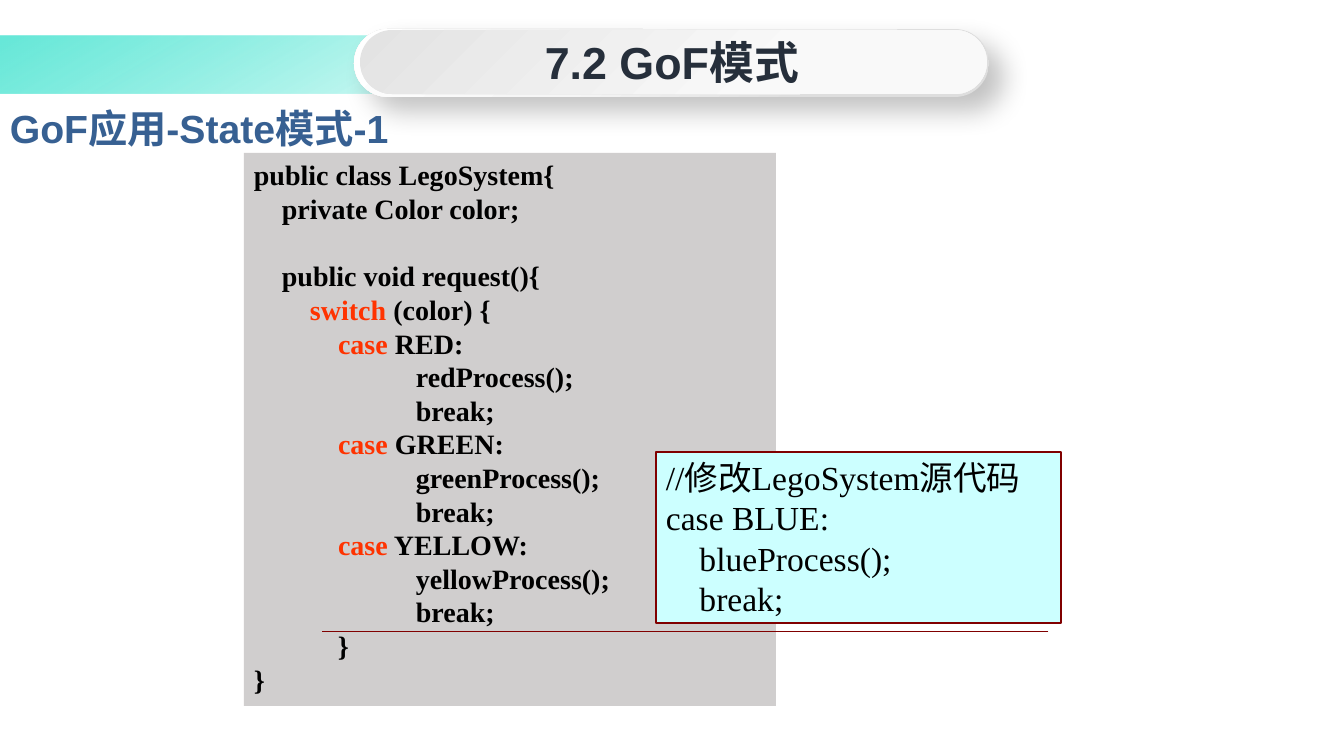
"""Build the GoF State pattern slide with a code listing and a callout."""
from lxml.etree import SubElement
from pptx import Presentation
from pptx.dml.color import RGBColor
from pptx.enum.shapes import MSO_SHAPE
from pptx.enum.text import MSO_ANCHOR, PP_ALIGN
from pptx.oxml import parse_xml
from pptx.oxml.ns import nsdecls, qn
from pptx.util import Pt

PX = 9071.43
KEYWORDS = ("switch", "case")
CODE = """public class LegoSystem{
    private Color color;

    public void request(){
        switch (color) {
            case RED:
\t    redProcess();
\t    break;
            case GREEN:
\t    greenProcess();
\t    break;
            case YELLOW:
\t    yellowProcess();
\t    break;
            }
}"""
CHANGE = """//修改LegoSystem源代码
case BLUE:
    blueProcess();
    break;"""


def rgb(color):
    return RGBColor.from_string(color)


def style(r, size, font, color, bold):
    r.font.size, r.font.name, r.font.bold = Pt(size), font, bold
    r.font.color.rgb = rgb(color)


prs = Presentation()
prs.slide_width, prs.slide_height = int(1344 * PX), int(756 * PX)
s = prs.slides.add_slide(prs.slide_layouts[6])

pills = [
    (MSO_SHAPE.RECTANGLE, (-1, 36, 1328, 58), 60,
     [(1, "4EE4D2", 85), (50, "20E2CB", 0)]),
    (MSO_SHAPE.ROUNDED_RECTANGLE, (354, 29, 635, 68), 225,
     [(1, "DEDEDE", 100), (30, "E0E0E0", 100), (61, "F6F6F6", 100), (100, "FFFFFF", 100)]),
    (MSO_SHAPE.ROUNDED_RECTANGLE, (360, 30, 627, 64), 45,
     [(0, "E3E3E3", 100), (67, "F9F9F9", 100)]),
]
for kind, box, angle, stops in pills:
    sp = s.shapes.add_shape(kind, *(int(v * PX) for v in box))
    sp.shadow.inherit = False
    sp.line.fill.background()
    if kind == MSO_SHAPE.ROUNDED_RECTANGLE:
        sp.adjustments[0] = 0.5
    gs = "".join(
        f'<a:gs pos="{pos * 1000}"><a:srgbClr val="{color}">'
        f'<a:alpha val="{alpha * 1000}"/></a:srgbClr></a:gs>'
        for pos, color, alpha in stops)
    sp._element.spPr.find(qn("a:prstGeom")).addnext(parse_xml(
        f'<a:gradFill {nsdecls("a")} rotWithShape="1"><a:gsLst>{gs}</a:gsLst>'
        f'<a:lin ang="{angle * 60000}" scaled="0"/></a:gradFill>'))
    if angle == 225:
        sp._element.spPr.find(qn("a:effectLst")).append(parse_xml(
            f'<a:outerShdw {nsdecls("a")} blurRad="{Pt(19)}" dist="{Pt(14)}" '
            'dir="2700000" algn="tl" rotWithShape="0"><a:srgbClr val="000000">'
            '<a:alpha val="24000"/></a:srgbClr></a:outerShdw>'))

headings = [
    ("GoF应用-State模式-1", (0, 94, 1349, 67), 28, "376092", PP_ALIGN.LEFT),
    ("7.2 GoF模式", (384, 29, 576, 65), 32, "262F3B", PP_ALIGN.CENTER),
]
for text, box, size, color, align in headings:
    tf = s.shapes.add_textbox(*(int(v * PX) for v in box)).text_frame
    tf.word_wrap = True
    tf.vertical_anchor = MSO_ANCHOR.MIDDLE
    p = tf.paragraphs[0]
    p.text, p.alignment = text, align
    style(p.runs[0], size, "Arial", color, True)

panels = [
    (CODE, MSO_SHAPE.RECTANGLE, (244, 153, 532, 553), "D0CECE", 20, True),
    (CHANGE, MSO_SHAPE.LINE_CALLOUT_1, (656, 452, 405, 171), "CCFFFF", 24, False),
]
for text, kind, box, fill, size, bold in panels:
    sp = s.shapes.add_shape(kind, *(int(v * PX) for v in box))
    sp.shadow.inherit = False
    sp.fill.solid()
    sp.fill.fore_color.rgb = rgb(fill)
    if kind == MSO_SHAPE.LINE_CALLOUT_1:
        sp.line.color.rgb, sp.line.width = rgb("800000"), Pt(1)
        for i, value in enumerate((1.049, 0.969, 1.049, -0.825)):
            sp.adjustments[i] = value
    else:
        sp.line.fill.background()
    tf = sp.text_frame
    tf.word_wrap = True
    tf.vertical_anchor = MSO_ANCHOR.TOP
    for i, line in enumerate(text.split("\n")):
        p = tf.add_paragraph() if i else tf.paragraphs[0]
        p.alignment = PP_ALIGN.LEFT
        p.line_spacing = Pt(size * 1.2)
        if line.startswith("\t"):
            tabs = SubElement(p._p.get_or_add_pPr(), qn("a:tabLst"))
            SubElement(tabs, qn("a:tab"), pos=str(int(134 * PX)), algn="l")
        p.font.size = Pt(size)
        word = next((w for w in KEYWORDS if bold and w in line), "")
        for part in line.partition(word) if word else (line,):
            if part:
                r = p.add_run()
                r.text = part
                style(r, size, "Times New Roman", "FF3300" if part == word else "000000", bold)

prs.save("out.pptx")
